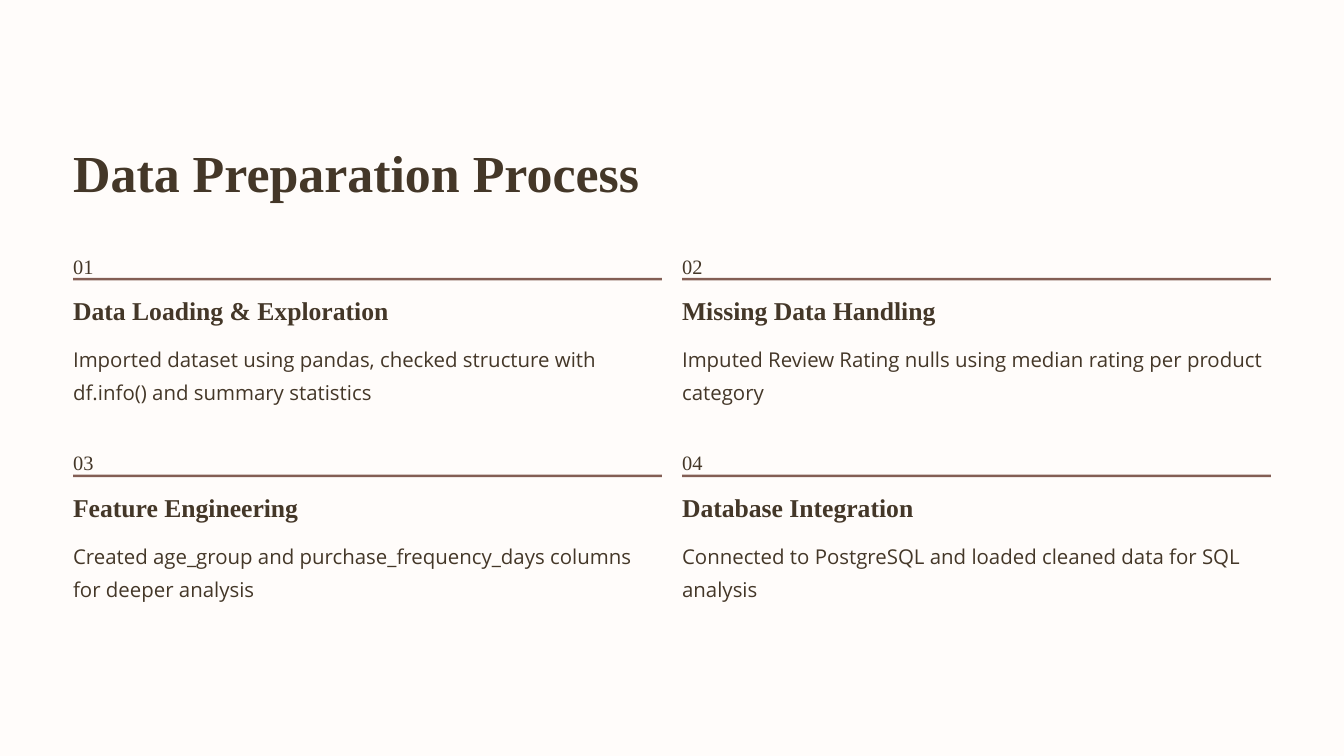
import dataclasses

import pptx
import pptx.dml.color
import pptx.enum.shapes
import pptx.util
from pptx.util import Inches


@dataclasses.dataclass(frozen=True)
class TextStyle:
    font: str
    size: float
    line_spacing: float
    bold: bool = False


@dataclasses.dataclass(frozen=True)
class Theme:
    background: str = "FFFCFA"
    text: str = "443728"
    rule: str = "835E54"
    title: TextStyle = TextStyle("Times New Roman", 44.5, 55.5, True)
    number: TextStyle = TextStyle("Times New Roman", 17.5, 28.5)
    heading: TextStyle = TextStyle("Times New Roman", 22, 27.5, True)
    body: TextStyle = TextStyle("Open Sans", 17.5, 28.5)


THEME = Theme()

LEFT = 0.87
FIRST_ROW_TOP = 2.92
COLUMN_PITCH = 7.25
ROW_PITCH = 2.34
STEP_WIDTH = 7.01

# Heading, heading box width, description
STEPS = [
    ("Data Loading & Exploration", 3.85,
     "Imported dataset using pandas, checked structure with df.info() and summary statistics"),
    ("Missing Data Handling", 3.1,
     "Imputed Review Rating nulls using median rating per product category"),
    ("Feature Engineering", 3.1,
     "Created age_group and purchase_frequency_days columns for deeper analysis"),
    ("Database Integration", 3.1,
     "Connected to PostgreSQL and loaded cleaned data for SQL analysis"),
]


def rgb(value):
    return pptx.dml.color.RGBColor.from_string(value)


def add_text(slide, text, style, left, top, width, height):
    box = slide.shapes.add_textbox(Inches(left), Inches(top), Inches(width), Inches(height))
    frame = box.text_frame
    frame.margin_left = frame.margin_right = frame.margin_top = frame.margin_bottom = 0
    frame.word_wrap = True
    paragraph = frame.paragraphs[0]
    paragraph.text = text
    paragraph.line_spacing = pptx.util.Pt(style.line_spacing)
    paragraph.font.name = style.font
    paragraph.font.size = pptx.util.Pt(style.size)
    paragraph.font.bold = style.bold
    paragraph.font.color.rgb = rgb(THEME.text)


def add_rule(slide, left, top):
    rule = slide.shapes.add_shape(
        pptx.enum.shapes.MSO_SHAPE.RECTANGLE,
        Inches(left), Inches(top), Inches(STEP_WIDTH), Inches(0.03))
    rule.shadow.inherit = False
    rule.fill.solid()
    rule.fill.fore_color.rgb = rgb(THEME.rule)
    rule.line.fill.background()


def add_step(slide, index, heading, heading_width, description):
    row, column = divmod(index, 2)
    left = LEFT + column * COLUMN_PITCH
    top = FIRST_ROW_TOP + row * ROW_PITCH
    add_text(slide, f"{index + 1:02}", THEME.number, left, top, 0.3, 0.31)
    add_rule(slide, left, top + 0.39)
    add_text(slide, heading, THEME.heading, left, top + 0.58, heading_width, 0.39)
    add_text(slide, description, THEME.body, left, top + 1.11, STEP_WIDTH, 0.79)


def main():
    presentation = pptx.Presentation()
    presentation.slide_width = Inches(16)
    presentation.slide_height = Inches(9)
    slide = presentation.slides.add_slide(presentation.slide_layouts[6])
    slide.background.fill.solid()
    slide.background.fill.fore_color.rgb = rgb(THEME.background)

    add_text(slide, "Data Preparation Process", THEME.title, LEFT, 1.65, 6.9, 0.78)
    for index, step in enumerate(STEPS):
        add_step(slide, index, *step)

    presentation.save("out.pptx")


if __name__ == "__main__":
    main()
